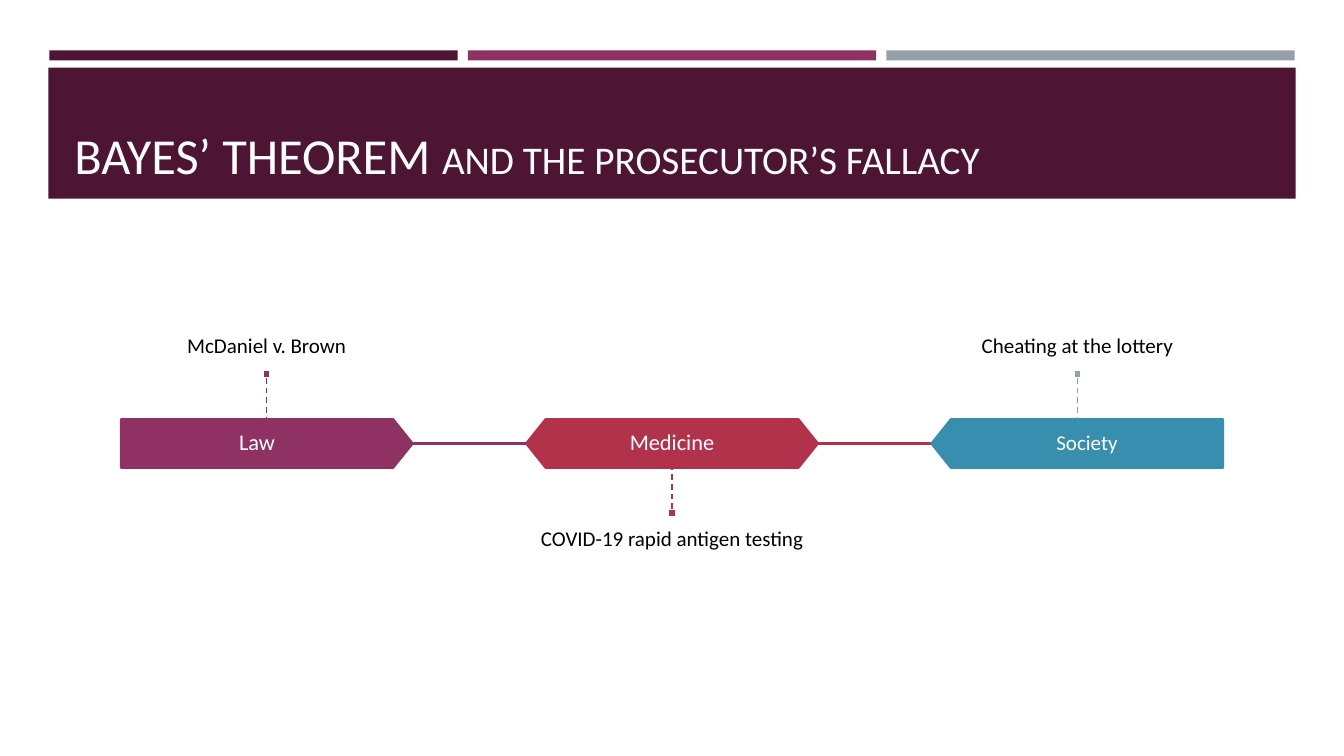
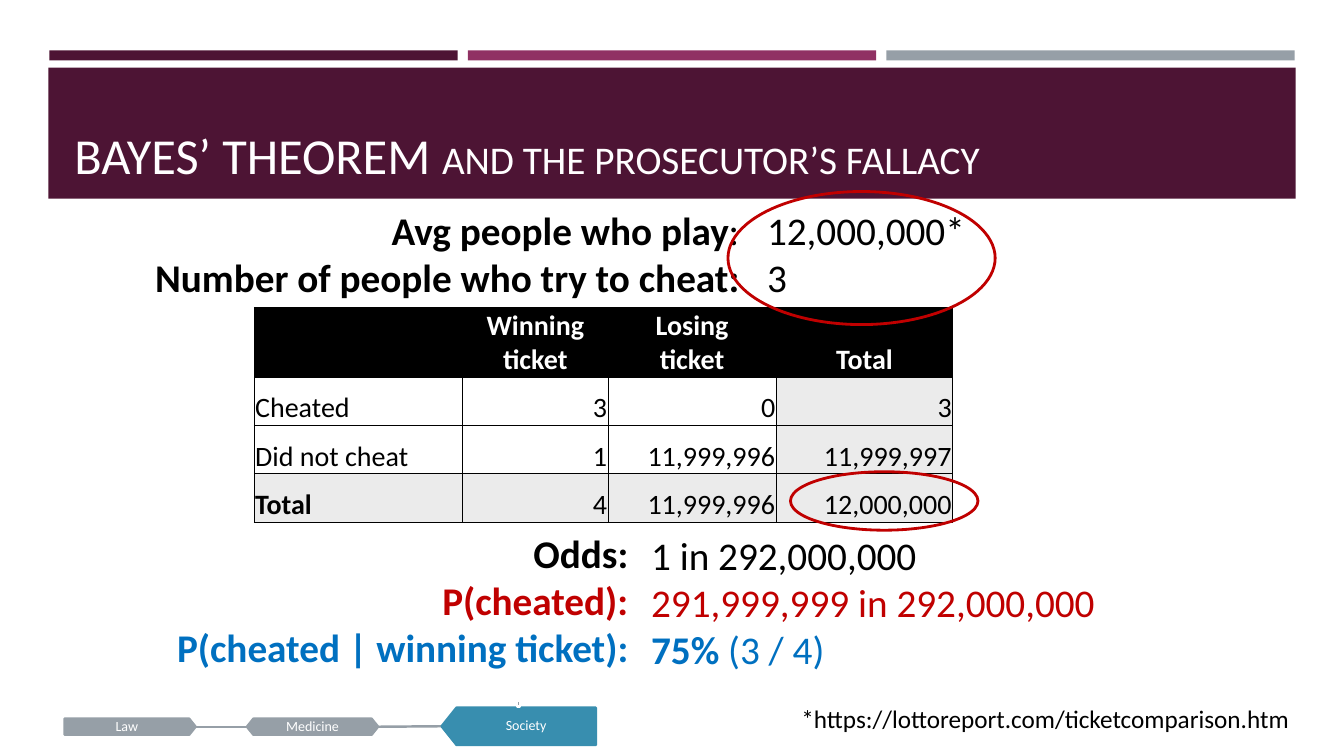
from dataclasses import dataclass
from typing import NamedTuple

from lxml import etree
from pptx import Presentation
from pptx.dml.color import RGBColor
from pptx.enum.dml import MSO_LINE
from pptx.enum.shapes import MSO_CONNECTOR, MSO_SHAPE
from pptx.enum.text import MSO_ANCHOR, PP_ALIGN
from pptx.oxml.ns import qn
from pptx.util import Inches, Pt

RECT, OVAL = MSO_SHAPE.RECTANGLE, MSO_SHAPE.OVAL
PENTAGON, HEXAGON = MSO_SHAPE.PENTAGON, MSO_SHAPE.HEXAGON
STRAIGHT, DASH = MSO_CONNECTOR.STRAIGHT, MSO_LINE.DASH
LEFT, CENTER, RIGHT = PP_ALIGN.LEFT, PP_ALIGN.CENTER, PP_ALIGN.RIGHT
TOP, MIDDLE, BOTTOM = MSO_ANCHOR.TOP, MSO_ANCHOR.MIDDLE, MSO_ANCHOR.BOTTOM
SIDE_TOP, SIDE_BOTTOM = 0, 2


@dataclass(frozen=True)
class Theme:
    font: str = "Calibri"
    plum: str = "4D1434"
    magenta: str = "903163"
    grey: str = "969FA7"
    crimson: str = "B2324B"
    teal: str = "388EAF"
    title: str = "FFFEFF"
    white: str = "FFFFFF"
    black: str = "000000"
    shade: str = "EBEBEB"
    red: str = "C00000"
    blue: str = "0070C0"
    title_size: float = 36
    subtitle_size: float = 28
    body_size: float = 28
    table_size: float = 20
    note_size: float = 18
    step_size: float = 16
    caption_size: float = 15
    small_size: float = 10
    outline: float = 1.75
    ring: float = 2
    stem: float = 1
    border: float = 0.5


T = Theme()


class Box(NamedTuple):
    left: float
    top: float
    width: float
    height: float

    @property
    def right(self) -> float:
        return self.left + self.width

    @property
    def bottom(self) -> float:
        return self.top + self.height

    @property
    def center(self) -> float:
        return self.left + self.width / 2

    @property
    def middle(self) -> float:
        return self.top + self.height / 2


class Run(NamedTuple):
    text: str
    color: str = T.black
    bold: bool = False
    size: float = T.body_size


class Step(NamedTuple):
    label: str
    box: Box
    fill: str
    size: float


class Caption(NamedTuple):
    text: str
    color: str
    above: bool


MARKER = 0.08
TIP = 0.4
CAPTION_WIDTH, CAPTION_HEIGHT = 4.02, 1.29
STEM = 0.41


def rgb(color: str) -> RGBColor:
    return RGBColor.from_string(color)


def style_run(r, color: str, bold: bool, size: float) -> None:
    r.font.name = T.font
    r.font.size = Pt(size)
    r.font.bold = bold
    r.font.color.rgb = rgb(color)


def add_shape(slide, kind, box: Box, fill=None, line=None, width=T.outline):
    sp = slide.shapes.add_shape(kind, *map(Inches, box))
    sp.shadow.inherit = False
    if fill:
        sp.fill.solid()
        sp.fill.fore_color.rgb = rgb(fill)
    else:
        sp.fill.background()
    if line:
        sp.line.color.rgb = rgb(line)
        sp.line.width = Pt(width)
    else:
        sp.line.fill.background()
    return sp


def add_text(slide, box: Box, lines: list[list[Run]], align=LEFT, anchor=TOP,
             insets=(0.1, 0.05), spacing=1.0, wrap=True) -> None:
    tf = slide.shapes.add_textbox(*map(Inches, box)).text_frame
    tf.word_wrap = wrap
    tf.vertical_anchor = anchor
    tf.margin_left = tf.margin_right = Inches(insets[0])
    tf.margin_top = tf.margin_bottom = Inches(insets[1])
    for i, runs in enumerate(lines):
        p = tf.add_paragraph() if i else tf.paragraphs[0]
        p.alignment = align
        p.line_spacing = spacing
        for run in runs:
            r = p.add_run()
            r.text = run.text
            style_run(r, run.color, run.bold, run.size)


def add_line(slide, x1: float, y1: float, x2: float, y2: float,
             color: str, width: float):
    cxn = slide.shapes.add_connector(STRAIGHT, *map(Inches, (x1, y1, x2, y2)))
    cxn.line.color.rgb = rgb(color)
    cxn.line.width = Pt(width)
    etree.SubElement(cxn._element.spPr, qn("a:effectLst"))
    return cxn


def add_frame(slide) -> None:
    for i, color in enumerate((T.plum, T.magenta, T.grey)):
        add_shape(slide, RECT, Box(0.49 + 4.15 * i, 0.5, 4.05, 0.1), color)
    add_shape(slide, RECT, Box(0.48, 0.67, 12.37, 1.3), T.plum)
    title = [Run("BAYES’ THEOREM ", T.title, size=T.title_size),
             Run("AND THE PROSECUTOR’S FALLACY", T.title, size=T.subtitle_size)]
    add_text(slide, Box(0.64, 0.77, 12.06, 1.11), [title], anchor=BOTTOM)


def add_steps(slide, steps: list[Step], inset: float) -> None:
    for a, b in zip(steps, steps[1:]):
        add_line(slide, a.box.right, a.box.middle, b.box.left, b.box.middle,
                 a.fill, T.outline)
    last = len(steps) - 1
    for i, step in enumerate(steps):
        box = step.box
        kind = PENTAGON if i in (0, last) else HEXAGON
        sp = add_shape(slide, kind, box, step.fill, step.fill)
        sp.adjustments[0] = TIP
        if i == last:
            sp.rotation = 180
        shift = {0: -1, last: 1}.get(i, 0) * box.height * TIP / 2
        add_text(slide, box._replace(left=box.left + shift),
                 [[Run(step.label, T.white, size=step.size)]],
                 CENTER, MIDDLE, (inset, inset), 0.9)


def add_caption(slide, step: Step, caption: Caption) -> None:
    box = step.box
    if caption.above:
        edge, marker_top = box.top, box.top - STEM - MARKER
        text_top = marker_top - CAPTION_HEIGHT
        side, anchor = SIDE_BOTTOM, BOTTOM
    else:
        edge, marker_top = box.bottom, box.bottom + STEM
        text_top = marker_top + MARKER
        side, anchor = SIDE_TOP, TOP
    marker = add_shape(slide, RECT,
                       Box(box.center - MARKER / 2, marker_top, MARKER, MARKER),
                       caption.color, T.white)
    stem = add_line(slide, box.center, marker_top, box.center, edge,
                    caption.color, T.stem)
    stem.line.dash_style = DASH
    stem.begin_connect(marker, side)
    add_text(slide,
             Box(box.center - CAPTION_WIDTH / 2, text_top,
                 CAPTION_WIDTH, CAPTION_HEIGHT),
             [[Run(caption.text, size=T.caption_size)]],
             CENTER, anchor, (0, 0.15), 0.9)


def add_borders(cell) -> None:
    tc_pr = cell._tc.get_or_add_tcPr()
    for tag in ("a:lnL", "a:lnR", "a:lnT", "a:lnB"):
        ln = etree.SubElement(tc_pr, qn(tag), w=str(Pt(T.border)))
        fill = etree.SubElement(ln, qn("a:solidFill"))
        etree.SubElement(fill, qn("a:srgbClr"), val=T.black)


def add_ticket_table(slide) -> None:
    rows = [("", "Winning\nticket", "Losing\nticket", "Total"),
            ("Cheated", "3", "0", "3"),
            ("Did not cheat", "1", "11,999,996", "11,999,997"),
            ("Total", "4", "11,999,996", "12,000,000")]
    widths, heights = (2.07, 1.44, 1.67, 1.75), (0.69, 0.48, 0.48, 0.48)
    box = Box(2.52, 3.05, sum(widths), sum(heights))
    table = slide.shapes.add_table(len(rows), len(widths),
                                   *map(Inches, box)).table
    table.first_row = table.horz_banding = False
    for col, width in zip(table.columns, widths):
        col.width = Inches(width)
    for i, (row, height) in enumerate(zip(rows, heights)):
        table.rows[i].height = Inches(height)
        for j, text in enumerate(row):
            cell = table.cell(i, j)
            header, total = i == 0, i == 3 or j == 3
            add_borders(cell)
            if header or total:
                cell.fill.solid()
                cell.fill.fore_color.rgb = rgb(T.black if header else T.shade)
            else:
                cell.fill.background()
            cell.vertical_anchor = BOTTOM
            cell.margin_left = cell.margin_right = Inches(0.01)
            cell.margin_top, cell.margin_bottom = Inches(0.01), 0
            cell.text_frame.text = text
            for p in cell.text_frame.paragraphs:
                p.alignment = CENTER if header else RIGHT if j else LEFT
                for r in p.runs:
                    style_run(r, T.white if header else T.black,
                              header or (i == 3 and j == 0), T.table_size)


def build_overview(slide) -> None:
    add_frame(slide)
    topics = [("Law", T.magenta, T.step_size),
              ("Medicine", T.crimson, T.step_size),
              ("Society", T.teal, T.caption_size)]
    steps = [Step(label, Box(1.2 + 4.02 * i, 4.16, 2.89, 0.48), fill, size)
             for i, (label, fill, size) in enumerate(topics)]
    captions = [Caption("McDaniel v. Brown", T.magenta, True),
                Caption("COVID-19 rapid antigen testing", T.crimson, False),
                Caption("Cheating at the lottery", T.grey, True)]
    add_steps(slide, steps, 0.13)
    for step, caption in zip(steps, captions):
        add_caption(slide, step, caption)


def build_lottery(slide) -> None:
    add_frame(slide)
    add_steps(slide, [
        Step("Law", Box(0.64, 7.13, 1.3, 0.16), T.grey, T.small_size),
        Step("Medicine", Box(2.45, 7.13, 1.3, 0.16), T.grey, T.small_size),
        Step("Society", Box(4.38, 7.02, 1.53, 0.37), T.teal, T.small_size),
    ], 0.08)
    add_shape(slide, RECT, Box(5.13, 6.95, 0.03, 0.06), T.grey, T.white)
    add_ticket_table(slide)
    add_text(slide, Box(1.1, 5.2, 5.23, 1.51),
             [[Run("Odds:", bold=True)],
              [Run("P(cheated):", T.red, True)],
              [Run("P(cheated | winning ticket):", T.blue, True)]], RIGHT)
    add_text(slide, Box(6.36, 5.22, 4.84, 1.51),
             [[Run("1 in 292,000,000")],
              [Run("291,999,999 in 292,000,000", T.red)],
              [Run("75%", T.blue, True), Run(" (3 / 4)", T.blue)]])
    add_text(slide, Box(0.2, 2, 7.23, 1.04),
             [[Run("Avg people who play", bold=True), Run(":")],
              [Run("Number of people who try to cheat:", bold=True)]], RIGHT)
    add_text(slide, Box(7.51, 2, 3.3, 1.04),
             [[Run("12,000,000*")], [Run("3")]])
    add_text(slide, Box(7.85, 6.93, 5.09, 0.4),
             [[Run("*https://lottoreport.com/ticketcomparison.htm",
                   size=T.note_size)]], wrap=False)
    for ring in (Box(7.84, 4.68, 1.86, 0.58), Box(7.22, 1.9, 2.65, 1.32)):
        add_shape(slide, OVAL, ring, line=T.red, width=T.ring)


def main() -> None:
    prs = Presentation()
    prs.slide_width, prs.slide_height = Inches(13.33), Inches(7.5)
    blank = prs.slide_layouts[6]
    for build in (build_overview, build_lottery):
        build(prs.slides.add_slide(blank))
    prs.save("out.pptx")


if __name__ == "__main__":
    main()
